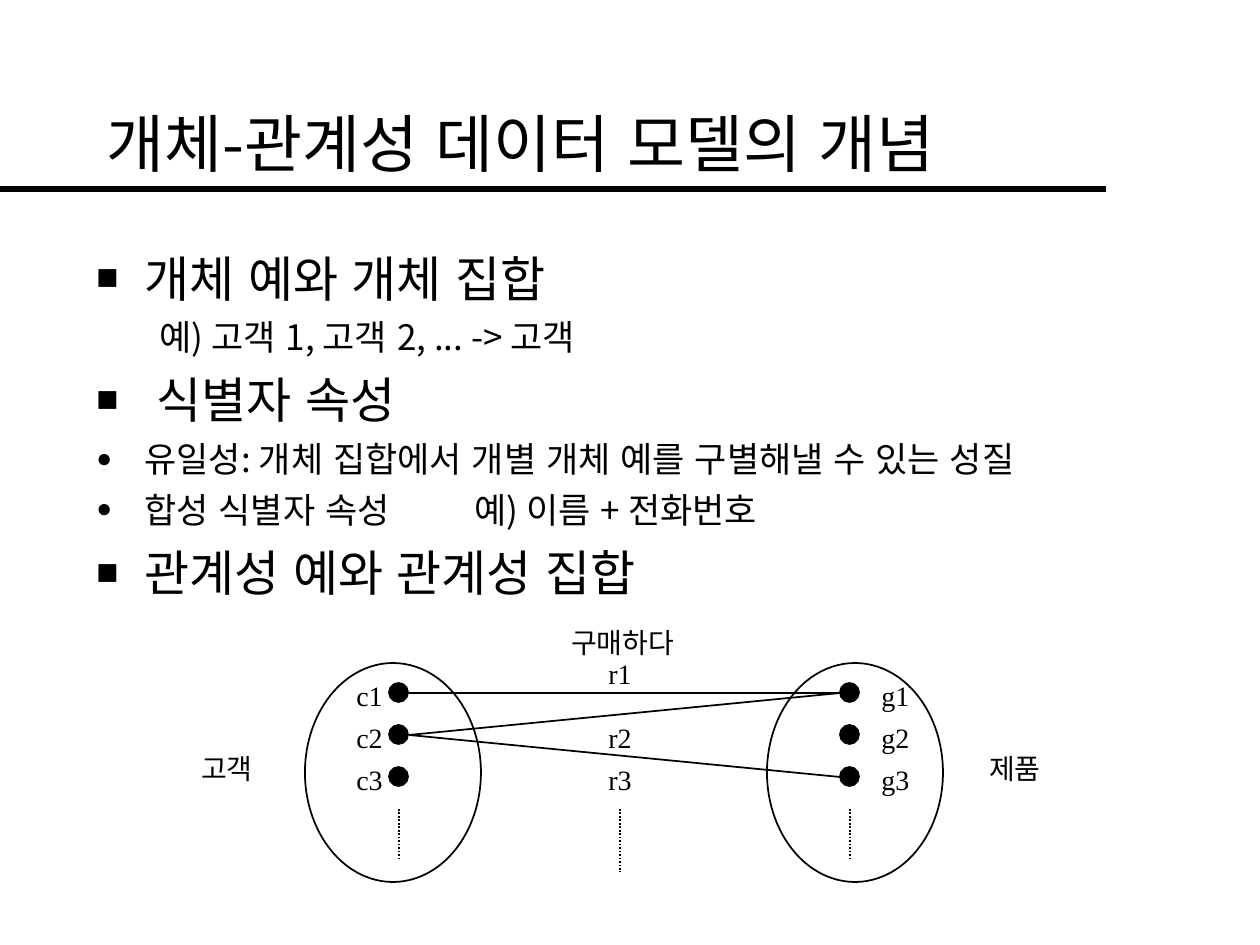
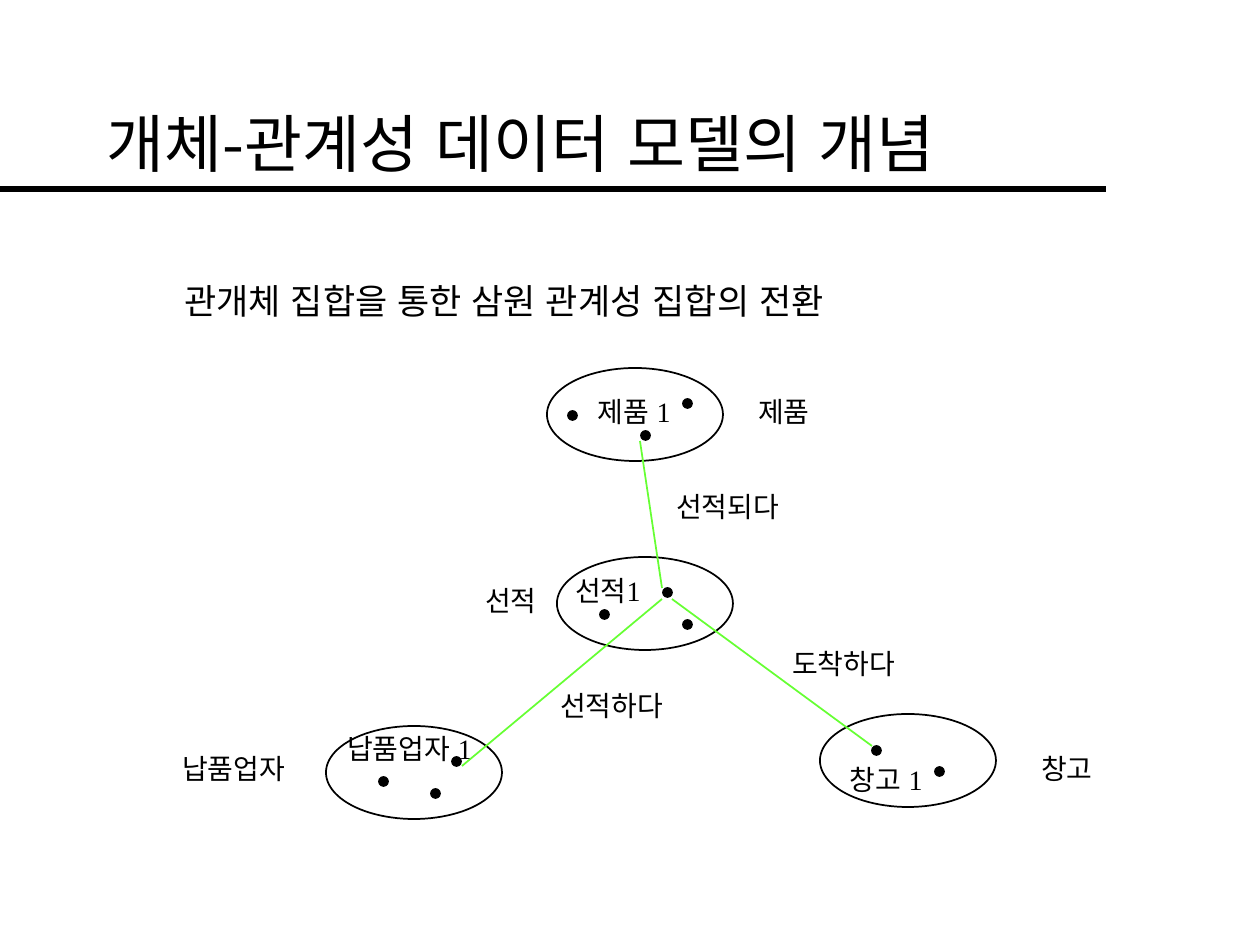
from dataclasses import dataclass
from lxml import etree
from pptx import Presentation
from pptx.dml.color import RGBColor
from pptx.enum.dml import MSO_LINE
from pptx.enum.lang import MSO_LANGUAGE_ID
from pptx.enum.shapes import MSO_CONNECTOR, MSO_SHAPE
from pptx.enum.text import MSO_ANCHOR, MSO_AUTO_SIZE, PP_ALIGN
from pptx.oxml.ns import qn
from pptx.util import Emu, Pt

OVAL = MSO_SHAPE.OVAL
STRAIGHT = MSO_CONNECTOR.STRAIGHT
DOTTED = MSO_LINE.ROUND_DOT
KOREAN = MSO_LANGUAGE_ID.KOREAN
MIDDLE, TOP = MSO_ANCHOR.MIDDLE, MSO_ANCHOR.TOP
FIT_SHAPE = MSO_AUTO_SIZE.SHAPE_TO_FIT_TEXT
LEFT = PP_ALIGN.LEFT


@dataclass(frozen=True)
class Theme:
    ink: str = "000000"
    paper: str = "FFFFFF"
    link: str = "66FF33"
    sans: str = "Noto Sans CJK KR"
    serif: str = "Times New Roman"
    title: int = 36
    heading: int = 28
    detail: int = 20
    label: int = 16


theme = Theme()
PX = 914400 / 126


def add_text(page, bounds, lines, size, latin, anchor=TOP):
    box = page.shapes.add_textbox(*[Emu(round(n * PX)) for n in bounds])
    frame = box.text_frame
    frame.word_wrap = True
    frame.vertical_anchor = anchor
    frame.text = "\n".join(lines)
    for para in frame.paragraphs:
        para.alignment = LEFT
        for span in para.runs:
            span.font.size = Pt(size)
            span.font.name = latin
            span.font.language_id = KOREAN
            span.font.color.rgb = RGBColor.from_string(theme.ink)
            east_asian = etree.SubElement(span.font._element, qn("a:ea"))
            east_asian.set("typeface", theme.sans)
    return box


def add_line(page, start, end, color, width=1):
    line = page.shapes.add_connector(
        STRAIGHT, *[Emu(round(n * PX)) for n in (*start, *end)])
    line.line.color.rgb = RGBColor.from_string(color)
    line.line.width = Pt(width)
    etree.SubElement(line._element.spPr, qn("a:effectLst"))
    return line


TITLE = "개체-관계성 데이터 모델의 개념"
HANGING = 48
TAB_STOP = 378
LABEL_HEIGHT = 47
ROW_GAP = 42

concept_body = [
    ("개체 예와 개체 집합", theme.heading, "■", HANGING),
    ("예) 고객 1, 고객 2, ... -> 고객", theme.detail, None, 63),
    ("식별자 속성", theme.heading, "■", 60),
    ("유일성: 개체 집합에서 개별 개체 예를 구별해낼 수 있는 성질", theme.detail, "●", HANGING),
    ("합성 식별자 속성\t예) 이름 + 전화번호", theme.detail, "●", HANGING),
    ("관계성 예와 관계성 집합", theme.heading, "■", HANGING),
]
concept_sets = [(305, 663, 176, 219), (767, 663, 176, 219)]
concept_dots = [(x, 683 + row * ROW_GAP, 19) for x in (389, 840) for row in range(3)]
concept_labels = [("고객", 189, 745, 77), ("제품", 977, 745, 77),
                  ("구매하다", 559, 619, 129), ("r1", 596, 650, 49)]
for row in range(3):
    y = 672 + row * ROW_GAP
    concept_labels += [(f"c{row + 1}", 344, y, 52), (f"g{row + 1}", 869, y, 53)]
    if row:
        concept_labels.append((f"r{row + 1}", 596, y, 49))
concept_links = [((409, 693), (840, 693)), ((409, 735), (840, 693)),
                 ((409, 735), (840, 777))]

ternary_body = [("관개체 집합을 통한 삼원 관계성 집합의 전환", theme.detail, None, 78)]
ternary_sets = [(x, y, 176, 93) for x, y in
                ((547, 368), (326, 726), (820, 714), (557, 557))]
ternary_dots = [(x, y, 9) for x, y in (
    (568, 411), (641, 431), (683, 399),
    (379, 777), (452, 757), (431, 789),
    (872, 746), (935, 767),
    (600, 610), (663, 588), (683, 620))]
ternary_labels = [
    ("제품", 746, 388, 77), ("제품 1", 585, 388, 110),
    ("납품업자", 170, 745, 129), ("납품업자 1", 335, 725, 162),
    ("창고", 1029, 745, 77), ("창고 1", 837, 756, 110),
    ("선적", 473, 577, 77), ("선적1", 563, 567, 100),
    ("선적하다", 548, 682, 129), ("도착하다", 780, 640, 129),
    ("선적되다", 664, 483, 129)]
ternary_links = [((640, 441), (662, 588)), ((662, 599), (462, 766)),
                 ((672, 599), (872, 746))]

slides = [
    ((84, 242, 1092, 640), concept_body, concept_sets, concept_dots,
     concept_labels, concept_links, theme.ink),
    ((94, 273, 1071, 567), ternary_body, ternary_sets, ternary_dots,
     ternary_labels, ternary_links, theme.link),
]

deck = Presentation()
deck.slide_width = Emu(round(1260 * PX))
deck.slide_height = Emu(round(945 * PX))

for bounds, body, sets, dots, labels, links, link_color in slides:
    page = deck.slides.add_slide(deck.slide_layouts[6])
    page.background.fill.solid()
    page.background.fill.fore_color.rgb = RGBColor.from_string(theme.paper)
    add_line(page, (0, 189), (1106, 189), theme.ink, 4)
    add_text(page, (94, 63, 1071, 158), [TITLE], theme.title, theme.sans, MIDDLE)

    box = add_text(page, bounds, [item[0] for item in body], theme.detail, theme.sans)
    for index, (para, item) in enumerate(zip(box.text_frame.paragraphs, body)):
        text, size, bullet, margin = item
        if index:
            para.space_before = Pt(7 if size == theme.heading else 5)
        properties = para._element.get_or_add_pPr()
        properties.set("marL", str(round(margin * PX)))
        properties.set("indent", str(round(-margin * PX) if bullet else 0))
        if bullet:
            bullet_color = etree.SubElement(properties, qn("a:buClr"))
            etree.SubElement(bullet_color, qn("a:srgbClr")).set("val", theme.ink)
            etree.SubElement(properties, qn("a:buSzPct")).set("val", "75000")
            etree.SubElement(properties, qn("a:buFont")).set("typeface", theme.serif)
            etree.SubElement(properties, qn("a:buChar")).set("char", bullet)
        if "\t" in text:
            tabs = etree.SubElement(properties, qn("a:tabLst"))
            tab = etree.SubElement(tabs, qn("a:tab"))
            tab.set("pos", str(round(TAB_STOP * PX)))
            tab.set("algn", "l")
        para.runs[0].font.size = Pt(size)

    ovals = [(area, theme.paper) for area in sets]
    ovals += [((x, y, size, size), theme.ink) for x, y, size in dots]
    for area, color in ovals:
        oval = page.shapes.add_shape(OVAL, *[Emu(round(n * PX)) for n in area])
        oval.shadow.inherit = False
        oval.fill.solid()
        oval.fill.fore_color.rgb = RGBColor.from_string(color)
        oval.line.color.rgb = RGBColor.from_string(theme.ink)
        oval.line.width = Pt(1)

    for text, x, y, width in labels:
        label = add_text(page, (x, y, width, LABEL_HEIGHT), [text], theme.label, theme.serif)
        label.text_frame.word_wrap = False
        label.text_frame.auto_size = FIT_SHAPE

    for start, end in links:
        add_line(page, start, end, link_color)

for x, bottom in ((399, 861), (620, 872), (850, 861)):
    ellipsis = add_line(deck.slides[0], (x, 809), (x, bottom), theme.ink)
    ellipsis.line.dash_style = DOTTED

deck.save("out.pptx")
